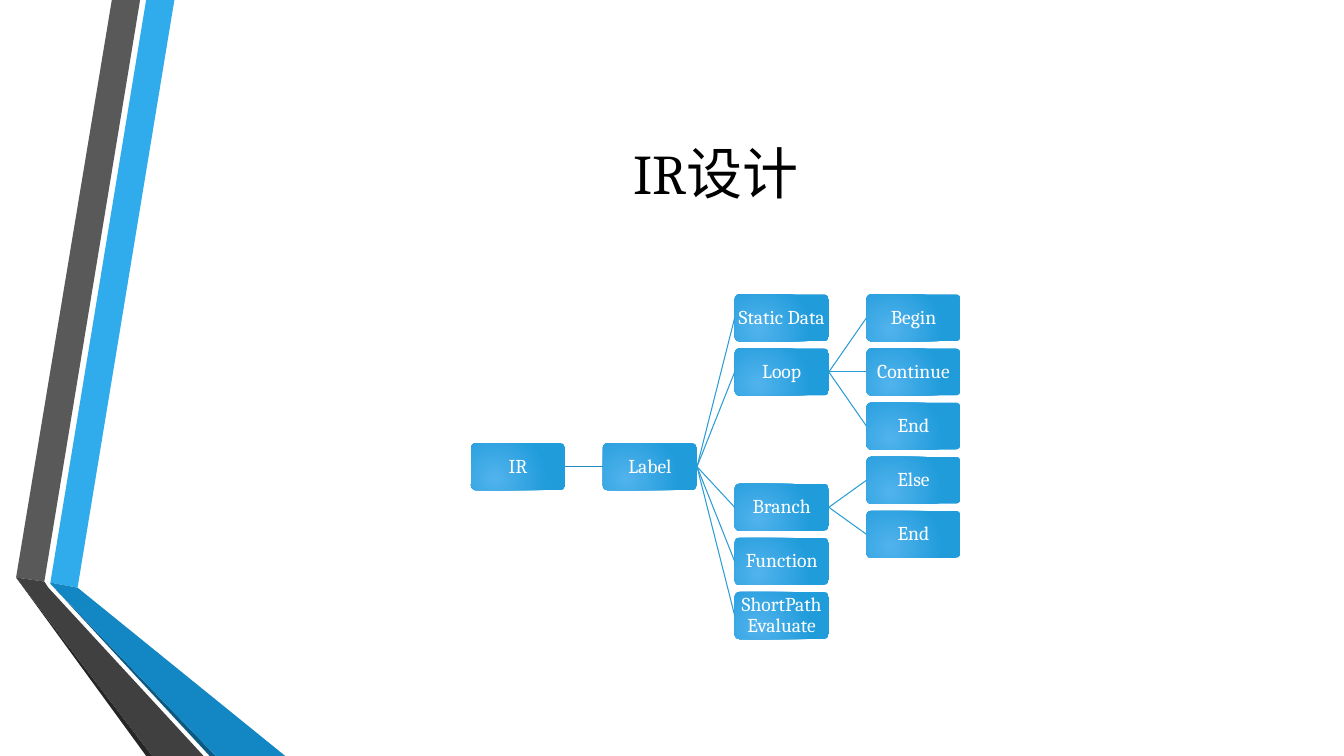
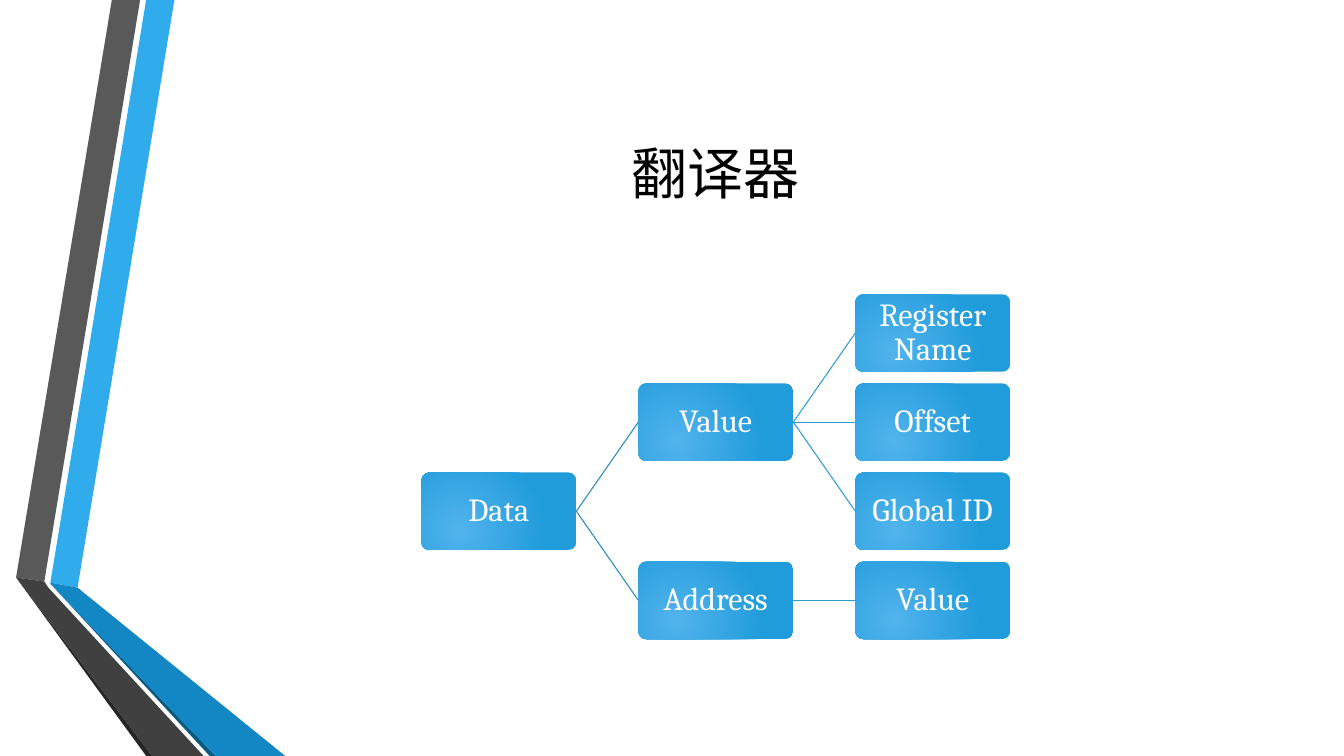
"""Builds two slides that show design trees."""
from dataclasses import dataclass

from lxml import etree
from pptx import Presentation
from pptx import util as u
from pptx.dml.color import RGBColor
from pptx.enum import shapes as kinds, text
from pptx.oxml.ns import qn


@dataclass(frozen=True)
class Theme:
    """Colours, type and lengths that the slides share."""
    font: str = "Cambria"
    title: int = 40
    ink: str = "000000"
    paper: str = "FFFFFF"
    glow: str = "51B3ED"
    blue: str = "219CDB"
    root: str = "268ABD"
    link: str = "2C9CD6"
    top: float = 2.92
    height: float = 3.42
    mid: float = 7.1
    row: float = 1.15
    col: float = 1.4


LOOK = Theme()

BANDS = [
    ("30ACEC", [(0.5, 5.78), (0.77, 5.83), (1.73, 0), (1.45, 0)]),
    ("595959", [(1.39, 0), (1.11, 0), (0.16, 5.73), (0.44, 5.77)]),
    ("262626", [(0.16, 5.73), (1.45, 7.5), (1.51, 7.5)]),
    ("0C5A82", [(0.5, 5.79), (2.08, 7.5), (2.14, 7.5)]),
    ("1287C3", [(0.5, 5.79), (2.14, 7.5), (2.83, 7.5), (0.77, 5.83), (0.5, 5.78)]),
    ("404040", [(2.02, 7.5), (0.48, 5.83), (0.44, 5.77), (0.16, 5.73), (1.51, 7.5)]),
]

DECK = [
    ("IR设计", 14, {"IR": {"Label": {
        "Static Data": {},
        "Loop": {"Begin": {}, "Continue": {}, "End": {}},
        "Branch": {"Else": {}, "End": {}},
        "Function": {},
        "ShortPath Evaluate": {},
    }}}),
    ("翻译器", 23, {"Data": {
        "Value": {"Register Name": {}, "Offset": {}, "Global ID": {}},
        "Address": {"Value": {}},
    }}),
]


def rgb(code):
    """Turn a hex code into a colour."""
    return RGBColor.from_string(code)


def write(frame, words, size, color, inset=0.1, space=1.0):
    """Put centred text in a frame."""
    frame.word_wrap = True
    frame.vertical_anchor = text.MSO_ANCHOR.MIDDLE
    frame.margin_left = frame.margin_right = u.Inches(inset)
    frame.margin_top = frame.margin_bottom = u.Inches(inset)
    para = frame.paragraphs[0]
    para.alignment = text.PP_ALIGN.CENTER
    para.line_spacing = space
    run = para.add_run()
    run.text = words
    run.font.name = LOOK.font
    run.font.size = u.Pt(size)
    run.font.color.rgb = rgb(color)


def band(slide, color, spots):
    """Draw one flat polygon."""
    first, *rest = [(u.Inches(x), u.Inches(y)) for x, y in spots]
    pen = slide.shapes.build_freeform(*first)
    pen.add_line_segments(rest, close=True)
    shape = pen.convert_to_shape()
    shape.shadow.inherit = False
    shape.fill.solid()
    shape.fill.fore_color.rgb = rgb(color)
    shape.line.fill.background()
    return shape


def adorn(slide):
    """Draw the bands and hand them to the layout, behind its text."""
    tree = slide.slide_layout.shapes.element
    for place, (color, spots) in enumerate(BANDS, 2):
        tree.insert(place, band(slide, color, spots).element)


def shade(shape):
    """Give a shape the round blue gradient."""
    shape.fill.gradient()
    for stop, color in zip(shape.fill.gradient_stops, (LOOK.glow, LOOK.blue)):
        stop.color.rgb = rgb(color)
    grad = shape.element.spPr.find(qn("a:gradFill"))
    grad.remove(grad.find(qn("a:lin")))
    ring = etree.SubElement(grad, qn("a:path"), path="circle")
    etree.SubElement(ring, qn("a:fillToRect"),
                     l="50000", t="100000", r="100000", b="50000")


def box(slide, words, x, y, high, size):
    """Draw one node, twice as wide as high."""
    shape = slide.shapes.add_shape(
        kinds.MSO_SHAPE.ROUNDED_RECTANGLE,
        u.Inches(x), u.Inches(y), u.Inches(2 * high), u.Inches(high))
    shape.adjustments[0] = 0.1
    shape.shadow.inherit = False
    shape.line.fill.background()
    shade(shape)
    write(shape.text_frame, words, size=size, color=LOOK.paper,
          inset=0.02 * high, space=0.9)
    return shape


def join(slide, start, end, color):
    """Link the right side of one node to the left side of another."""
    line = slide.shapes.add_connector(kinds.MSO_CONNECTOR.STRAIGHT, 0, 0, 0, 0)
    line.begin_connect(start, 3)
    line.end_connect(end, 1)
    line.line.color.rgb = rgb(color)
    line.line.width = u.Pt(0.75)
    etree.SubElement(line.element.spPr, qn("a:effectLst"))


def place(tree, free, depth=0):
    """Give each node a row: its children's middle, or the next free one."""
    nodes = []
    for name, kids in tree.items():
        below = place(kids, free, depth + 1)
        row = free.get(depth, 0)
        if below:
            row = (below[0][2] + below[-1][2]) / 2
        free[depth] = row + 1
        nodes.append((name, depth, row, below))
    return nodes


def chart(slide, tree, size):
    """Draw a tree from left to right, fitted to the body height."""
    free = {}
    nodes = place(tree, free)
    high = LOOK.height / (1 + LOOK.row * (max(free.values()) - 1))
    wide = 2 * high
    left = LOOK.mid - wide * (1 + LOOK.col * max(free)) / 2

    def grow(node):
        """Draw a node, its children and the links between them."""
        name, depth, row, below = node
        shape = box(slide, name, left + depth * wide * LOOK.col,
                    LOOK.top + row * high * LOOK.row, high, size)
        for kid in below:
            join(slide, shape, grow(kid), LOOK.link if depth else LOOK.root)
        return shape

    for node in nodes:
        grow(node)


def head(slide, words):
    """Place and fill the title."""
    title = slide.shapes.title
    title.left, title.top = u.Inches(1.62), u.Inches(0.75)
    title.width, title.height = u.Inches(10.96), u.Inches(1.92)
    write(title.text_frame, words, size=LOOK.title, color=LOOK.ink)


def main():
    """Build and save the deck."""
    deck = Presentation()
    deck.slide_width, deck.slide_height = u.Inches(13.33), u.Inches(7.5)
    layout = deck.slide_layouts.get_by_name("Title Only")
    for words, size, tree in DECK:
        slide = deck.slides.add_slide(layout)
        head(slide, words)
        chart(slide, tree, size)
    adorn(deck.slides[0])
    deck.save("out.pptx")


if __name__ == "__main__":
    main()
